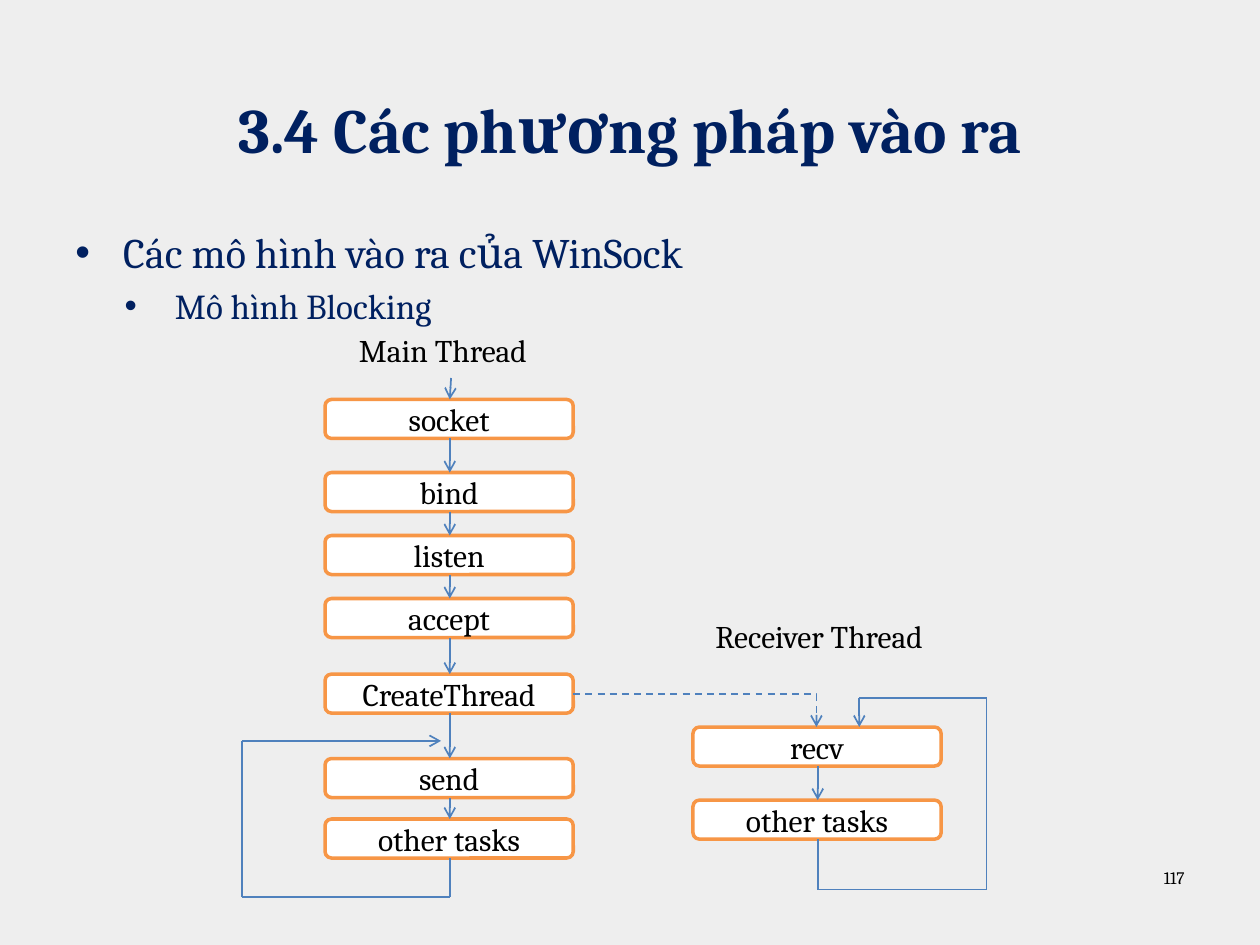
"""Build the slide on blocking input and output with two threads."""
import pptx
import pptx.dml.color
import pptx.enum.dml
import pptx.enum.shapes
import pptx.enum.text
import pptx.oxml.ns
import pptx.util
import lxml.etree

ALIGN = pptx.enum.text.PP_ALIGN
ANCHOR = pptx.enum.text.MSO_ANCHOR
SHAPE = pptx.enum.shapes.MSO_SHAPE
LINK = pptx.enum.shapes.MSO_CONNECTOR
NAVY, BLACK, WHITE = "002060", "000000", "FFFFFF"
BLUE, ORANGE, GREY = "4F81BD", "F79646", "EEEEEE"
WIDE, HIGH = 197, 31


def px(size):
    return pptx.util.Emu(size * 9144)


def tint(code):
    return pptx.dml.color.RGBColor.from_string(code)


def add(parent, tag, **attrs):
    return lxml.etree.SubElement(parent, pptx.oxml.ns.qn(tag), **attrs)


class Deck:
    """Hold the style and the current slide."""

    def __init__(self, width, height):
        self.font = "Cambria"
        self.file = pptx.Presentation()
        self.file.slide_width, self.file.slide_height = px(width), px(height)
        self.slide = self.file.slides.add_slide(self.file.slide_layouts[6])
        fill = self.slide.background.fill
        fill.solid()
        fill.fore_color.rgb = tint(GREY)

    def style(self, para, size, color, align=ALIGN.LEFT, bold=False):
        para.alignment = align
        for run in para.runs:
            run.font.name = self.font
            run.font.size = pptx.util.Pt(size)
            run.font.color.rgb = tint(color)
            run.font.bold = bold

    def text(self, text, area, size=18, color=BLACK, align=ALIGN.LEFT,
             anchor=ANCHOR.TOP, bold=False):
        frame = self.slide.shapes.add_textbox(*map(px, area)).text_frame
        frame.word_wrap = True
        frame.vertical_anchor = anchor
        frame.text = text
        self.style(frame.paragraphs[0], size, color, align, bold)
        return frame

    def bullets(self, items, area):
        frame = self.text("", area)
        for order, (text, size, left, hang) in enumerate(items):
            para = frame.add_paragraph() if order else frame.paragraphs[0]
            para.text = text
            para.level = order
            props = para._p.get_or_add_pPr()
            props.set("marL", str(px(left)))
            props.set("indent", str(-px(hang)))
            add(props, "a:buFont", typeface="Arial")
            add(props, "a:buChar", char="•")
            if order:
                para.space_before = pptx.util.Pt(4)
            self.style(para, size, NAVY)

    def box(self, text, left, top):
        shape = self.slide.shapes.add_shape(
            SHAPE.ROUNDED_RECTANGLE, *map(px, (left, top, WIDE, HIGH)))
        shape.shadow.inherit = False
        shape.fill.solid()
        shape.fill.fore_color.rgb = tint(WHITE)
        shape.line.color.rgb = tint(ORANGE)
        shape.line.width = pptx.util.Pt(2)
        frame = shape.text_frame
        frame.text = text
        frame.vertical_anchor = ANCHOR.MIDDLE
        self.style(frame.paragraphs[0], 18, BLACK, ALIGN.CENTER)

    def line(self, start, end, arrow=True, bent=False):
        kind = LINK.ELBOW if bent else LINK.STRAIGHT
        link = self.slide.shapes.add_connector(kind, *map(px, start + end))
        link.line.color.rgb = tint(BLUE)
        link.line.width = pptx.util.Pt(1)
        props = link._element.spPr
        if bent:
            props.find(pptx.oxml.ns.qn("a:prstGeom")).set(
                "prst", "bentConnector2")
            link.line.dash_style = pptx.enum.dml.MSO_LINE.DASH
        if arrow:
            add(link.line._get_or_add_ln(), "a:tailEnd", type="arrow")
        add(props, "a:effectLst")

    def loop(self, points):
        last = len(points) - 2
        for order, (start, end) in enumerate(zip(points, points[1:])):
            self.line(start, end, arrow=order == last)

    def chain(self, left, steps):
        mid = left + WIDE // 2 + 1
        for text, top in steps:
            self.box(text, left, top)
        for (_, top), (_, down) in zip(steps, steps[1:]):
            self.line((mid, top + HIGH), (mid, down))


def main():
    deck = Deck(1000, 750)
    deck.text("3.4 Các phương pháp vào ra", (50, 39, 900, 125), 36, NAVY,
              ALIGN.CENTER, ANCHOR.MIDDLE, True)
    deck.bullets([("Các mô hình vào ra của WinSock", 24, 38, 38),
                  ("Mô hình Blocking", 20, 79, 40)], (50, 175, 900, 495))
    deck.text("Main Thread", (275, 258, 217, 40))
    deck.text("Receiver Thread", (558, 485, 217, 40))
    deck.chain(258, [("socket", 317), ("bind", 375), ("listen", 425),
                     ("accept", 475), ("CreateThread", 535), ("send", 602),
                     ("other tasks", 650)])
    deck.chain(550, [("recv", 577), ("other tasks", 635)])
    deck.line((358, 300), (357, 317))
    deck.line((455, 551), (648, 577), bent=True)
    deck.loop([(357, 681), (357, 712), (192, 712), (192, 588), (350, 588)])
    deck.loop([(649, 666), (649, 706), (783, 706), (783, 554), (682, 554),
               (682, 577)])
    deck.text("117", (717, 683, 233, 52), 10, align=ALIGN.RIGHT)
    deck.file.save("out.pptx")


if __name__ == "__main__":
    main()
